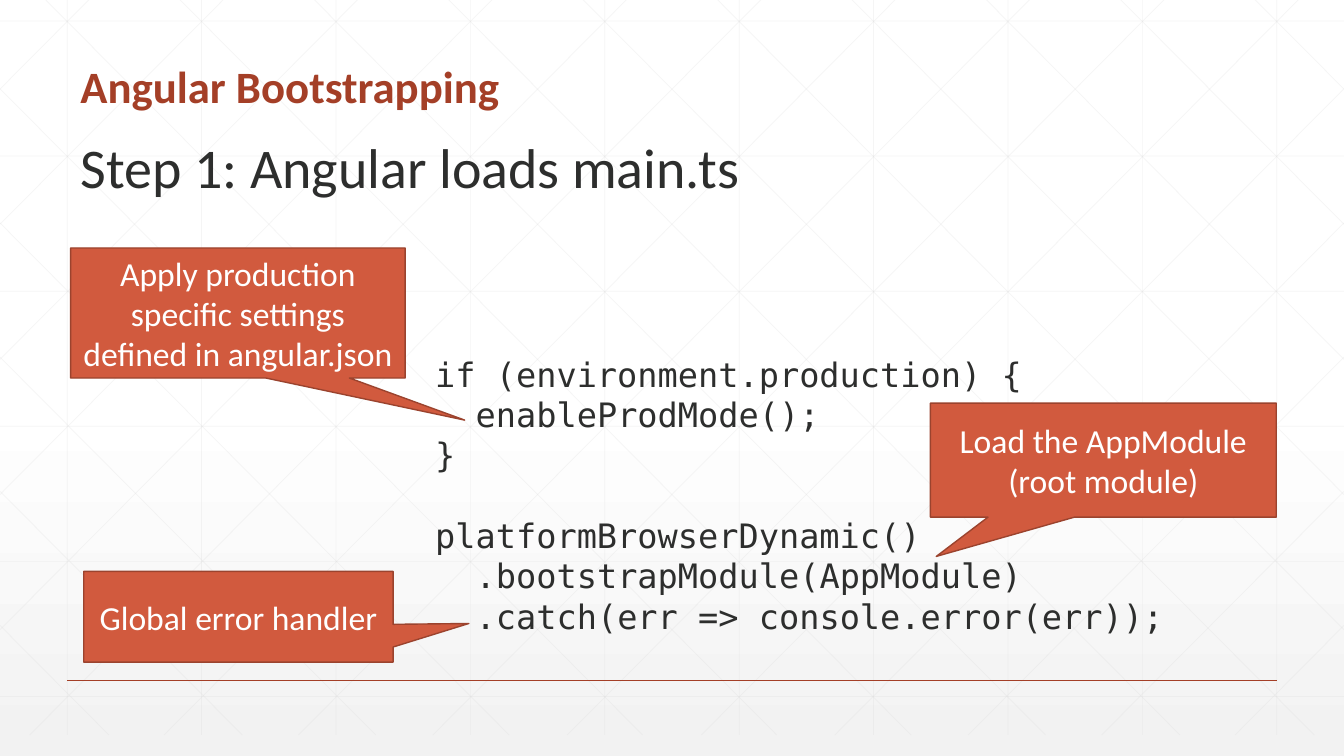
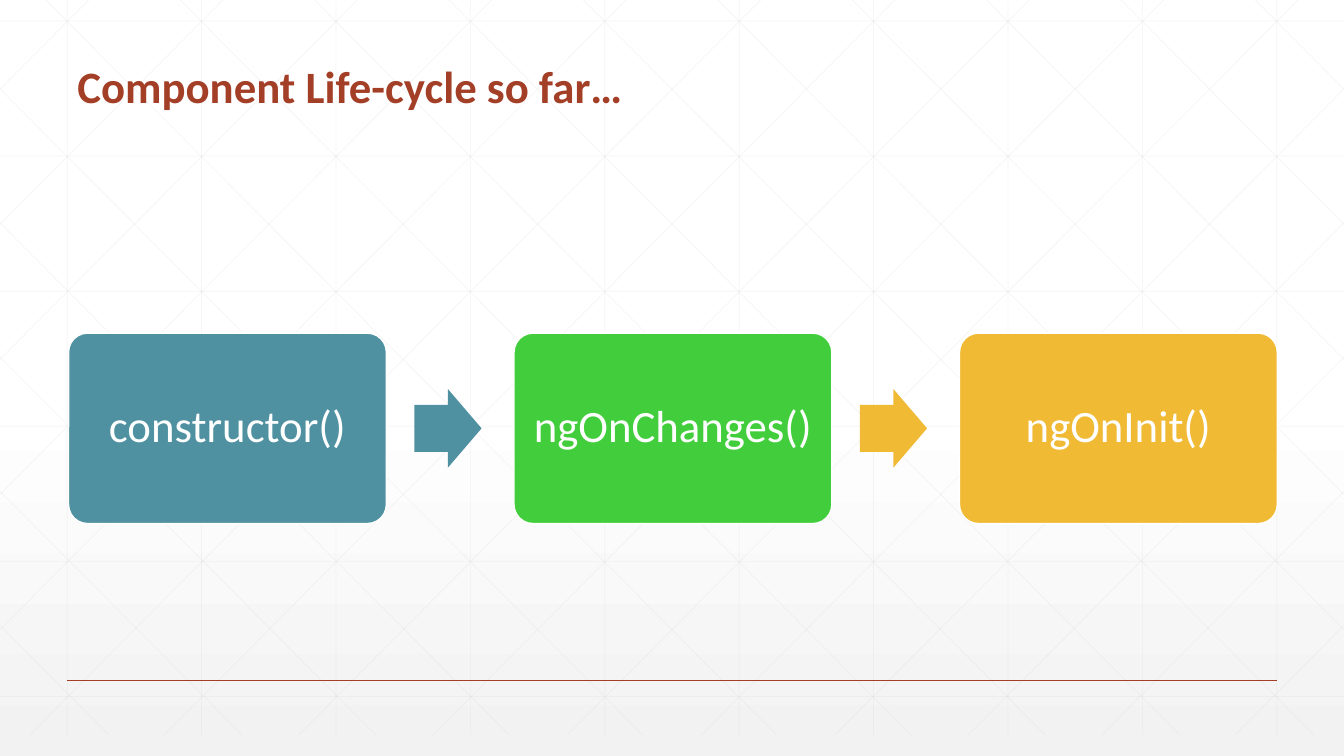
from dataclasses import dataclass

from lxml import etree
from pptx import Presentation
from pptx.dml.color import RGBColor
from pptx.enum.shapes import MSO_CONNECTOR, MSO_SHAPE
from pptx.enum.text import MSO_ANCHOR, PP_ALIGN
from pptx.oxml.ns import qn
from pptx.util import Pt

STRAIGHT = MSO_CONNECTOR.STRAIGHT
CALLOUT = MSO_SHAPE.RECTANGULAR_CALLOUT
ROUNDED = MSO_SHAPE.ROUNDED_RECTANGLE
ARROW = MSO_SHAPE.RIGHT_ARROW
TOP, MIDDLE, BOTTOM = MSO_ANCHOR.TOP, MSO_ANCHOR.MIDDLE, MSO_ANCHOR.BOTTOM
LEFT, CENTER = PP_ALIGN.LEFT, PP_ALIGN.CENTER


@dataclass(frozen=True)
class Theme:
    font: str = "Calibri"
    code_font: str = "DejaVu Sans Mono"
    title: str = "A43F27"
    text: str = "2D2E2D"
    white: str = "FFFFFF"
    grid: str = "D9D9D9"
    callout: str = "D15A3E"
    callout_edge: str = "9B432E"
    teal: str = "4F91A1"
    green: str = "42CE3C"
    gold: str = "F0BA34"
    title_size: float = 32
    heading_size: float = 40
    step_size: float = 32
    body_size: float = 24
    code_pitch: float = 28.8
    code_indent: float = 28.9


THEME = Theme()
WIDTH, HEIGHT = 960, 540
GRID_TOP, GRID_BOTTOM = -15, 525
GRID_STEP = 96
DIAGONAL_RUN = 537
BACKDROP_STOPS = [(0, THEME.white, 100), (53, THEME.white, 100), (100, "F2F2F2", 65)]

BOOTSTRAP_TITLE = ("Angular Bootstrapping", (50.4, 39.6, 862, 44.6))
BOOTSTRAP_HEADING = ("Step 1: Angular loads main.ts", (50.4, 91.4, 862, 55.4))
CODE_BOX = (303.8, 249.1, 542, 239.8)
CODE_LINES = [
    ("if (environment.production) {", 0, 0),
    ("enableProdMode();", 1, 0),
    ("}", 0, 0),
    ("platformBrowserDynamic()", 0, 1),
    (".bootstrapModule(AppModule)", 1, 0),
    (".catch(err => console.error(err));", 1, 0),
]
CALLOUTS = [
    ("Apply production specific settings defined in angular.json",
     (50.4, 177.1, 239, 92.9), (0.678, 0.824)),
    ("Load the AppModule (root module)", (664.6, 288, 247, 81.4), (-0.483, 0.845)),
    ("Global error handler", (59.8, 408.2, 221, 64.8), (0.745, 0.074)),
]

LIFECYCLE_TITLE = ("Component Life-cycle so far…", (48.2, 39.6, 864.7, 44.6))
STEPS = [
    ("constructor()", THEME.teal),
    ("ngOnChanges()", THEME.green),
    ("ngOnInit()", THEME.gold),
]
ARROW_COLORS = [THEME.teal, THEME.gold]
STEP_LEFT, STEP_TOP, STEP_WIDTH, STEP_HEIGHT = 49, 238, 227, 136
STEP_PITCH = 318.2
ARROW_OFFSET, ARROW_WIDTH, ARROW_HEIGHT = 247, 48, 56


def rgb(value):
    return RGBColor.from_string(value)


def points(values):
    return [Pt(value) for value in values]


def add_span(para, text, size, color, font=THEME.font, bold=False):
    span = para.add_run()
    span.text = text
    span.font.name = font
    span.font.size = Pt(size)
    span.font.bold = bold
    span.font.color.rgb = rgb(color)


def set_frame(shape, anchor):
    frame = shape.text_frame
    frame.word_wrap = True
    frame.vertical_anchor = anchor
    return frame


def write(shape, text, size, color, anchor=MIDDLE, align=CENTER, spacing=1.0, bold=False):
    para = set_frame(shape, anchor).paragraphs[0]
    para.alignment = align
    para.line_spacing = spacing
    add_span(para, text, size, color, bold=bold)


def add_title(page, content):
    text, place = content
    box = page.shapes.add_textbox(*points(place))
    write(box, text, THEME.title_size, THEME.title, BOTTOM, LEFT, 0.9, True)


def add_block(page, kind, place, fill, edge=None, adjustments=()):
    shape = page.shapes.add_shape(kind, *points(place))
    shape.shadow.inherit = False
    shape.fill.solid()
    shape.fill.fore_color.rgb = rgb(fill)
    if edge:
        shape.line.color.rgb = rgb(edge)
        shape.line.width = Pt(1)
    else:
        shape.line.fill.background()
    for index, value in enumerate(adjustments):
        shape.adjustments[index] = value
    return shape


def add_line(page, ends, color, width, opacity=100):
    line = page.shapes.add_connector(STRAIGHT, *points(ends))
    line.line.color.rgb = rgb(color)
    line.line.width = Pt(width)
    properties = line.element.spPr
    if opacity < 100:
        tint = next(properties.iter(qn("a:srgbClr")))
        etree.SubElement(tint, qn("a:alpha"), val=str(opacity * 1000))
    etree.SubElement(properties, qn("a:effectLst"))
    return line


def grid_lines():
    lines = []
    for column in range(10):
        x = 48 + GRID_STEP * column
        lines.append((x, GRID_TOP, x, GRID_BOTTOM))
    for row in range(6):
        y = 15 + 96.5 * row
        lines.append((0, y, WIDTH, y))
    slope = (GRID_BOTTOM - GRID_TOP) / DIAGONAL_RUN
    falling = []
    for index in range(10):
        start = 17.8 + GRID_STEP * index
        end = min(WIDTH, start + DIAGONAL_RUN)
        falling.append((start, GRID_TOP, end, GRID_TOP + (end - start) * slope))
    for index in range(5):
        end = 77.8 + 95.3 * index
        falling.append((0, GRID_BOTTOM - end * slope, end, GRID_BOTTOM))
    rising = [(WIDTH - x1, y1, WIDTH - x2, y2) for x1, y1, x2, y2 in falling]
    return lines + falling + rising


def set_backdrop(master, page):
    fill = master.background.fill
    fill.gradient()
    fill.gradient_angle = 270
    stops = next(master.element.iter(qn("a:gsLst")))
    for stop in list(stops):
        stops.remove(stop)
    for position, color, opacity in BACKDROP_STOPS:
        stop = etree.SubElement(stops, qn("a:gs"), pos=str(position * 1000))
        tint = etree.SubElement(stop, qn("a:srgbClr"), val=color)
        if opacity < 100:
            etree.SubElement(tint, qn("a:alpha"), val=str(opacity * 1000))
    lines = [add_line(page, ends, THEME.grid, 0.5, 25) for ends in grid_lines()]
    lines.append(add_line(page, (48, 486, 912, 486), THEME.title, 1))
    tree = master.element.cSld.spTree
    for number, line in enumerate(lines, 100):
        line.element.nvCxnSpPr.cNvPr.set("id", str(number))
        tree.append(line.element)


def add_code(page):
    frame = set_frame(page.shapes.add_textbox(*points(CODE_BOX)), TOP)
    for index, (text, level, gap) in enumerate(CODE_LINES):
        para = frame.add_paragraph() if index else frame.paragraphs[0]
        para.line_spacing = Pt(THEME.code_pitch)
        para.space_before = Pt(THEME.code_pitch * gap)
        properties = para._p.get_or_add_pPr()
        properties.set("marL", str(Pt(THEME.code_indent * level)))
        properties.set("indent", "0")
        add_span(para, text, THEME.body_size, THEME.text, THEME.code_font)


def build_bootstrap(page):
    add_title(page, BOOTSTRAP_TITLE)
    heading, place = BOOTSTRAP_HEADING
    box = page.shapes.add_textbox(*points(place))
    write(box, heading, THEME.heading_size, THEME.text, TOP, LEFT)
    add_code(page)
    for text, place, tip in CALLOUTS:
        callout = add_block(page, CALLOUT, place, THEME.callout, THEME.callout_edge, tip)
        write(callout, text, THEME.body_size, THEME.white)


def build_lifecycle(page):
    add_title(page, LIFECYCLE_TITLE)
    arrow_top = STEP_TOP + (STEP_HEIGHT - ARROW_HEIGHT) / 2
    for index, (name, color) in enumerate(STEPS):
        left = STEP_LEFT + STEP_PITCH * index
        place = (left, STEP_TOP, STEP_WIDTH, STEP_HEIGHT)
        step = add_block(page, ROUNDED, place, color, THEME.white, (0.1,))
        write(step, name, THEME.step_size, THEME.white, spacing=0.9)
        if index < len(ARROW_COLORS):
            place = (left + ARROW_OFFSET, arrow_top, ARROW_WIDTH, ARROW_HEIGHT)
            add_block(page, ARROW, place, ARROW_COLORS[index], adjustments=(0.6, 0.5))


def main():
    deck = Presentation()
    deck.slide_width, deck.slide_height = Pt(WIDTH), Pt(HEIGHT)
    blank = deck.slide_layouts[6]
    bootstrap = deck.slides.add_slide(blank)
    set_backdrop(deck.slide_master, bootstrap)
    build_bootstrap(bootstrap)
    build_lifecycle(deck.slides.add_slide(blank))
    deck.save("out.pptx")


if __name__ == "__main__":
    main()
